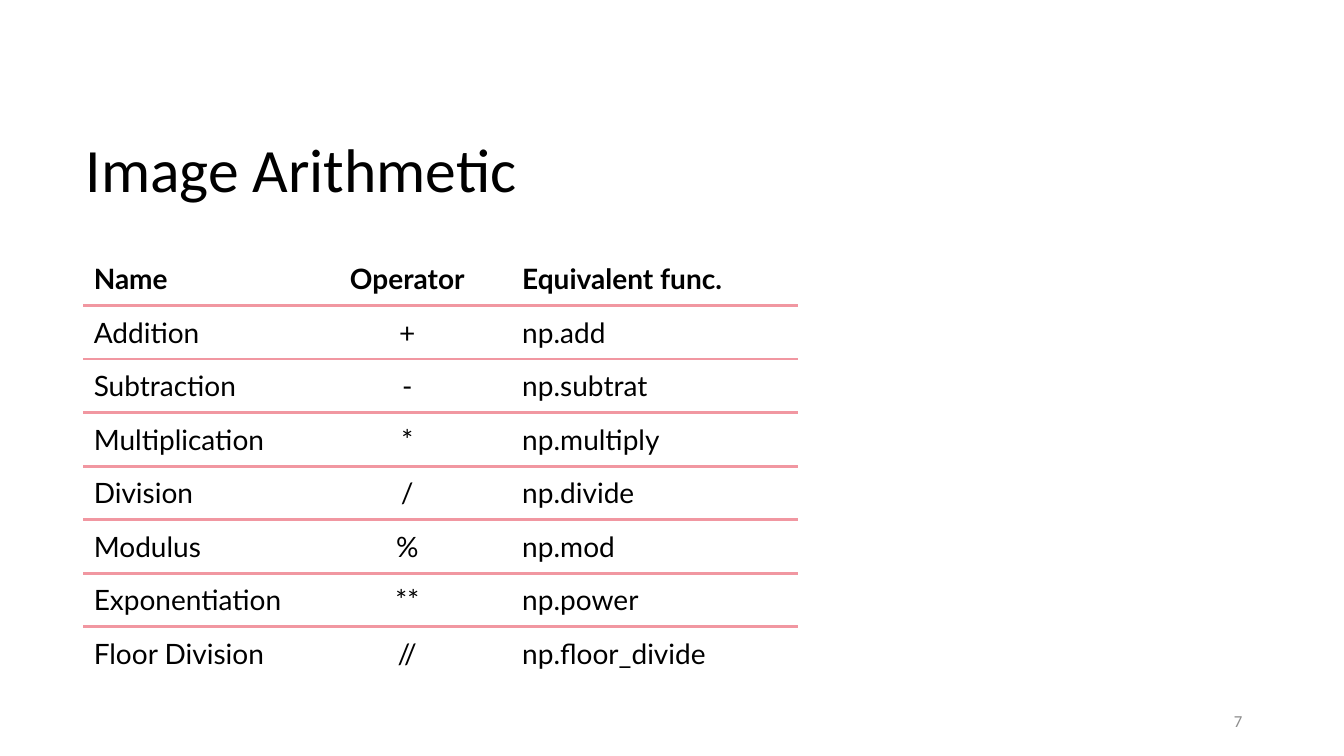
from lxml import etree
from pptx import Presentation
from pptx import util as u
from pptx.dml.color import RGBColor
from pptx.enum import text
from pptx.oxml.ns import qn

COLORS = {"ink": "000000", "rule": "F197A1", "paper": "FFFFFF", "muted": "8C8C8C"}
ALIGN = text.PP_ALIGN
OPERATORS = [
    ("Name", "Operator", "Equivalent func."),
    ("Addition", "+", "np.add"),
    ("Subtraction", "-", "np.subtrat"),
    ("Multiplication", "*", "np.multiply"),
    ("Division", "/", "np.divide"),
    ("Modulus", "%", "np.mod"),
    ("Exponentiation", "**", "np.power"),
    ("Floor Division", "//", "np.floor_divide"),
]


def write(tf, content, size=20, font="Calibri", color="ink", bold=False,
          align=ALIGN.LEFT, spacing=None):
    p = tf.paragraphs[0]
    p.alignment = align
    p.line_spacing = spacing
    r = p.add_run()
    r.text = content
    r.font.size = u.Pt(size)
    r.font.name = font
    r.font.bold = bold
    r.font.color.rgb = RGBColor.from_string(COLORS[color])


def add_text(s, box, content, **fmt):
    tf = s.shapes.add_textbox(*map(u.Inches, box)).text_frame
    tf.word_wrap = True
    tf.vertical_anchor = text.MSO_ANCHOR.MIDDLE
    write(tf, content, **fmt)


def set_border(cell, side, color, width):
    ln = etree.SubElement(cell._tc.get_or_add_tcPr(), qn(f"a:ln{side}"), w=str(u.Pt(width)))
    fill = etree.SubElement(ln, qn("a:solidFill"))
    etree.SubElement(fill, qn("a:srgbClr"), val=COLORS[color])


def add_operator_table(s, box, rows, widths):
    left, top, width, height = map(u.Inches, box)
    table = s.shapes.add_table(len(rows), len(widths), left, top, width, height).table
    table.horz_banding = False
    for column, w in zip(table.columns, widths):
        column.width = u.Inches(w)
    edge, rule = ("paper", 1), ("rule", 2.25)
    for i, row in enumerate(rows):
        table.rows[i].height = height // len(rows)
        borders = {"L": edge, "R": edge,
                   "T": rule if i else edge,
                   "B": rule if i < len(rows) - 1 else edge}
        for j, content in enumerate(row):
            cell = table.cell(i, j)
            cell.vertical_anchor = text.MSO_ANCHOR.MIDDLE
            write(cell.text_frame, content, font="Lato", bold=i == 0,
                  align=ALIGN.CENTER if j == 1 else ALIGN.LEFT)
            for side, line in borders.items():
                set_border(cell, side, *line)
            cell.fill.background()


def main():
    prs = Presentation()
    prs.slide_width, prs.slide_height = u.Inches(13.33), u.Inches(7.5)
    s = prs.slides.add_slide(prs.slide_layouts[6])
    add_text(s, (9.42, 6.95, 3, 0.4), "7", size=12, color="muted", align=ALIGN.RIGHT)
    add_text(s, (0.75, 1.18, 11.42, 1.07), "Image Arithmetic", size=44, spacing=0.9)
    add_operator_table(s, (0.83, 2.5, 7.08, 4.25), OPERATORS, (2.17, 2.08, 2.83))
    prs.save("out.pptx")


if __name__ == "__main__":
    main()
